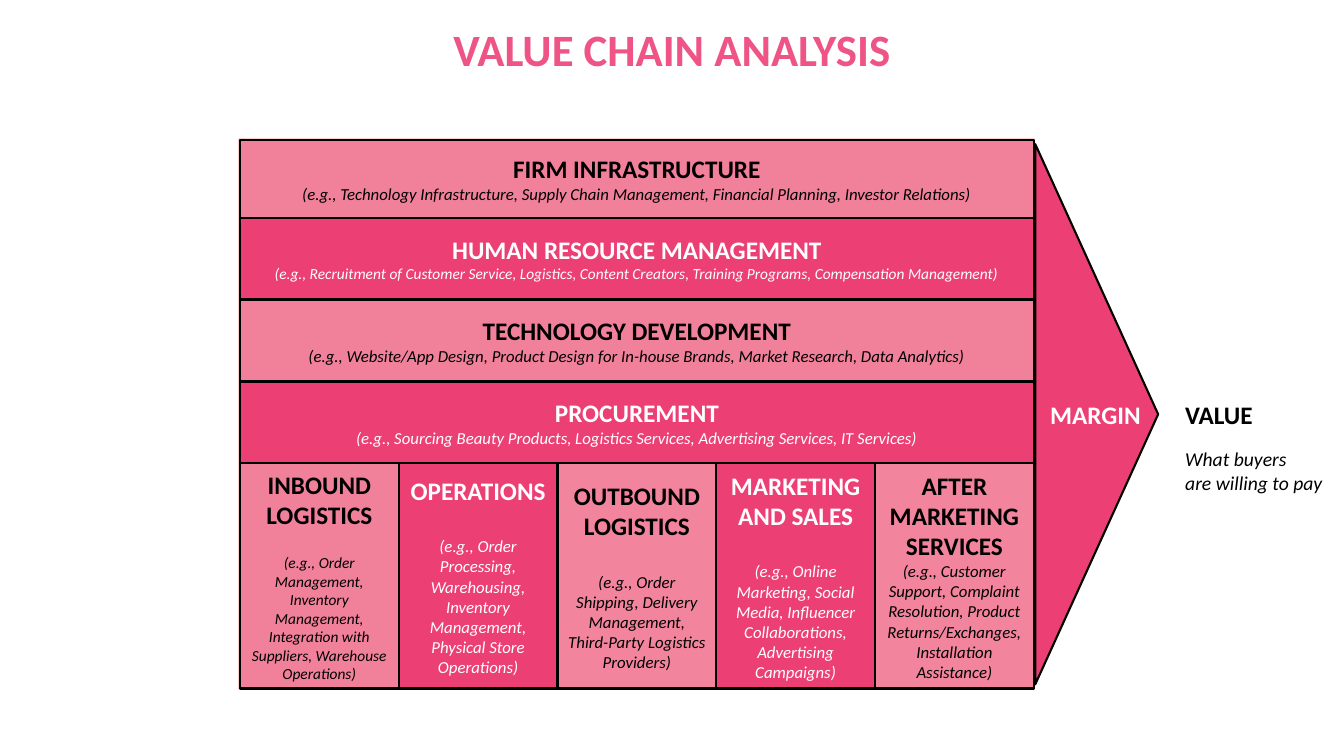
from dataclasses import dataclass

from lxml import etree
from pptx import Presentation
from pptx.dml.color import RGBColor
from pptx.enum.shapes import MSO_SHAPE
from pptx.enum.text import MSO_ANCHOR, MSO_AUTO_SIZE, PP_ALIGN
from pptx.util import Pt

RECTANGLE, TRIANGLE = MSO_SHAPE.RECTANGLE, MSO_SHAPE.ISOSCELES_TRIANGLE
MIDDLE = MSO_ANCHOR.MIDDLE
CENTER, LEFT = PP_ALIGN.CENTER, PP_ALIGN.LEFT
FIXED, GROW = MSO_AUTO_SIZE.NONE, MSO_AUTO_SIZE.SHAPE_TO_FIT_TEXT


@dataclass(frozen=True)
class Theme:
    font: str = "Calibri"
    title_color: str = "EE5485"
    frame_line: str = "F9CECC"
    strong: str = "EC4075"
    soft: str = "F1819B"
    pale: str = "F2859D"
    black: str = "000000"
    white: str = "FFFFFF"
    title: float = 32
    heading: float = 18
    value_note: float = 14
    example: float = 12
    small_example: float = 11


THEME = Theme()


@dataclass(frozen=True)
class Area:
    left: float
    top: float
    width: float
    height: float


@dataclass(frozen=True)
class Line:
    text: str
    size: float
    bold: bool = False
    italic: bool = False
    gap: float = 0


@dataclass(frozen=True)
class Activity:
    name: str
    examples: str
    fill: str = THEME.soft
    size: float = THEME.example
    gap: float = 0


# Activities of the chain
SUPPORT = [
    Activity("FIRM INFRASTRUCTURE",
             "(e.g., Technology Infrastructure, Supply Chain Management, "
             "Financial Planning, Investor Relations)"),
    Activity("HUMAN RESOURCE MANAGEMENT",
             "(e.g., Recruitment of Customer Service, Logistics, Content Creators, "
             "Training Programs, Compensation Management)",
             THEME.strong, THEME.small_example),
    Activity("TECHNOLOGY DEVELOPMENT",
             "(e.g., Website/App Design, Product Design for In-house Brands, "
             "Market Research, Data Analytics)"),
    Activity("PROCUREMENT",
             "(e.g., Sourcing Beauty Products, Logistics Services, "
             "Advertising Services, IT Services)", THEME.strong),
]
PRIMARY = [
    Activity("INBOUND LOGISTICS",
             "(e.g., Order Management, Inventory Management, "
             "Integration with Suppliers, Warehouse Operations)",
             size=THEME.small_example, gap=17),
    Activity("OPERATIONS",
             "(e.g., Order Processing, Warehousing, Inventory Management, "
             "Physical Store Operations)", THEME.strong, gap=22),
    Activity("OUTBOUND LOGISTICS",
             "(e.g., Order Shipping, Delivery Management, "
             "Third-Party Logistics Providers)", THEME.pale, gap=22),
    Activity("MARKETING AND SALES",
             "(e.g., Online Marketing, Social Media, Influencer Collaborations, "
             "Advertising Campaigns)", THEME.strong, gap=22),
    Activity("AFTER MARKETING SERVICES",
             "(e.g., Customer Support, Complaint Resolution, Product "
             "Returns/Exchanges, Installation Assistance)", THEME.pale),
]

# Layout of the chain
CHAIN = Area(171.4, 100, 567, 391.8)
FIRST_ROW, ROW = 55.5, 58.5
COLUMN = CHAIN.width / len(PRIMARY)


def color(code: str) -> RGBColor:
    return RGBColor.from_string(code)


def write_lines(frame, lines: list[Line], ink: str, align) -> None:
    frame.text = "\n".join(line.text for line in lines)
    for para, line in zip(frame.paragraphs, lines):
        para.alignment = align
        if line.gap:
            para.space_before = Pt(line.gap)
        for span in para.runs:
            span.font.name = THEME.font
            span.font.size = Pt(line.size)
            span.font.bold = line.bold
            span.font.italic = line.italic
            span.font.color.rgb = color(ink)


def add_box(page, kind, area: Area, fill: str, outline: str, weight: float):
    box = page.shapes.add_shape(kind, Pt(area.left), Pt(area.top),
                                Pt(area.width), Pt(area.height))
    box.shadow.inherit = False
    box.fill.solid()
    box.fill.fore_color.rgb = color(fill)
    box.line.color.rgb = color(outline)
    box.line.width = Pt(weight)
    return box


def add_activity(page, activity: Activity, area: Area) -> None:
    box = add_box(page, RECTANGLE, area, activity.fill, THEME.black, 1.5)
    box.text_frame.word_wrap = True
    box.text_frame.vertical_anchor = MIDDLE
    ink = THEME.white if activity.fill == THEME.strong else THEME.black
    write_lines(box.text_frame, [
        Line(activity.name, THEME.heading, bold=True),
        Line(activity.examples, activity.size, italic=True, gap=activity.gap),
    ], ink, CENTER)


def add_label(page, area: Area, lines: list[Line], ink: str) -> None:
    box = page.shapes.add_textbox(Pt(area.left), Pt(area.top),
                                  Pt(area.width), Pt(area.height))
    box.text_frame.word_wrap = False
    box.text_frame.auto_size = GROW
    write_lines(box.text_frame, lines, ink, LEFT)


def add_title(page) -> None:
    title = page.shapes.title
    title.left, title.top, title.width, title.height = (
        Pt(66), Pt(10.8), Pt(828), Pt(53.3))
    title.text_frame.auto_size = FIXED
    title.text_frame.vertical_anchor = MIDDLE
    write_lines(title.text_frame,
                [Line("VALUE CHAIN ANALYSIS", THEME.title, bold=True)],
                THEME.title_color, CENTER)
    title.text_frame.paragraphs[0].line_spacing = 0.9


def main() -> None:
    deck = Presentation()
    deck.slide_width, deck.slide_height = Pt(960), Pt(540)
    page = deck.slides.add_slide(deck.slide_layouts[5])
    add_title(page)

    # Frame and margin arrow
    add_box(page, RECTANGLE, CHAIN, THEME.title_color, THEME.frame_line, 2.25)
    arrow = add_box(page, TRIANGLE, Area(590.4, 252, 385.9, 87.8),
                    THEME.strong, THEME.black, 1.5)
    arrow.rotation = 90
    arrow.adjustments[0] = 0.5

    # Support activities, stacked
    top = CHAIN.top
    for index, activity in enumerate(SUPPORT):
        height = ROW if index else FIRST_ROW
        add_activity(page, activity, Area(CHAIN.left, top, CHAIN.width, height))
        top += height

    # Primary activities, side by side
    depth = CHAIN.top + CHAIN.height - top
    for index, activity in enumerate(PRIMARY):
        left = CHAIN.left + index * COLUMN
        add_activity(page, activity, Area(left, top, COLUMN, depth))

    # Margin and value labels
    add_label(page, Area(743, 281.5, 80, 29),
              [Line("MARGIN", THEME.heading, bold=True)], THEME.white)
    add_label(page, Area(839.5, 281.5, 113, 75.6), [
        Line("VALUE", THEME.heading, bold=True),
        Line("What buyers", THEME.value_note, italic=True, gap=12.8),
        Line("are willing to pay", THEME.value_note, italic=True),
    ], THEME.black)

    deck.save("out.pptx")


if __name__ == "__main__":
    main()
